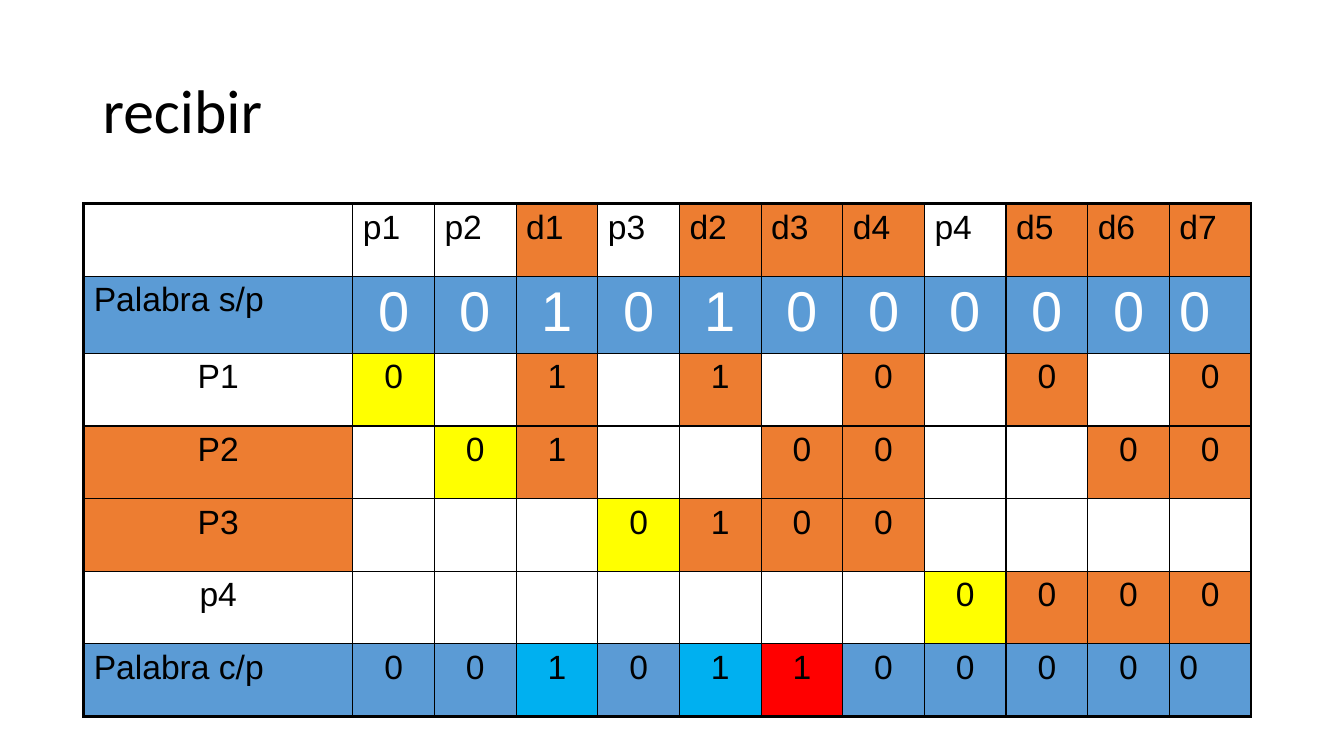
from pptx import Presentation
from pptx.dml.color import RGBColor as Rgb
from pptx.enum.text import MSO_ANCHOR as Anchor, PP_ALIGN as Align
from pptx.oxml.ns import qn
from pptx.util import Inches, Pt
from lxml.etree import SubElement as Sub

COLORS = {
    "black": "000000", "white": "FFFFFF", "orange": "ED7D31", "blue": "5B9BD5",
    "yellow": "FFFF00", "cyan": "00B0F0", "red": "FF0000",
}
# Fill codes: "-" leaves a cell without fill
CODES = {"W": "white", "O": "orange", "B": "blue", "Y": "yellow",
         "C": "cyan", "R": "red"}

# Row label, one value per bit ("." is empty), one fill code per column
HEADS = "p1 p2 d1 p3 d2 d3 d4 p4 d5 d6 d7".split()
ROWS = [
    ("", HEADS, "-WWOWOOOWOOO"),
    ("Palabra s/p", "00101000000", "BBBBBBBBBBBB"),
    ("P1", "0.1.1.0.0.0", "WYWOWOWOWOWO"),
    ("P2", ".01..00..00", "O-YO--OO--OO"),
    ("P3", "...0100....", "O---YOOO----"),
    ("p4", ".......0000", "--------YOOO"),
    ("Palabra c/p", "00101100000", "BBBCBCRBBBBB"),
]
HEAD, SENT, LAST = 0, 1, len(ROWS) - 1
END = len(HEADS)


def add_run(par, text, size, font, color="black"):
    """Add one styled run to a paragraph."""
    run = par.add_run()
    run.text = text
    run.font.size = Pt(size)
    run.font.name = font
    run.font.color.rgb = Rgb.from_string(COLORS[color])


def add_title(slide, text):
    """Add the slide heading, centred vertically in its box."""
    box = slide.shapes.add_textbox(
        Inches(0.92), Inches(0.4), Inches(11.5), Inches(1.45))
    frame = box.text_frame
    frame.word_wrap = True
    frame.vertical_anchor = Anchor.MIDDLE
    par = frame.paragraphs[0]
    par.line_spacing = 0.9
    add_run(par, text, 44, "Calibri")


def add_edges(cell, row, col):
    """Draw thin inner borders and thick ones on the table's rim."""
    props = cell._tc.get_or_add_tcPr()
    rims = {"L": col == 0, "R": col == END, "T": row == HEAD, "B": row == LAST}
    for side, rim in rims.items():
        line = Sub(props, qn(f"a:ln{side}"), w=str(Pt(2.25 if rim else 1)))
        fill = Sub(line, qn("a:solidFill"))
        Sub(fill, qn("a:srgbClr"), val=COLORS["black"])


def paint(cell, code):
    """Fill a cell by its code."""
    if code == "-":
        cell.fill.background()
    else:
        cell.fill.solid()
        cell.fill.fore_color.rgb = Rgb.from_string(COLORS[CODES[code]])


def write(cell, text, row, col):
    """Write a cell's text, with the word rows flush left at both ends."""
    par = cell.text_frame.paragraphs[0]
    flush = row == HEAD or (row in (SENT, LAST) and col in (0, END))
    par.alignment = Align.LEFT if flush else Align.CENTER
    space = Sub(par._p.get_or_add_pPr(), qn("a:spcBef"))
    Sub(space, qn("a:spcPct"), val="20000")
    big = row == SENT and col > 0
    add_run(par, text, 40 if big else 24, "Arial", "white" if big else "black")


def add_grid(slide):
    """Add the parity table."""
    high = Inches(0.72)
    table = slide.shapes.add_table(
        len(ROWS), END + 1, Inches(0.83), Inches(2.02),
        Inches(11.58), high * len(ROWS)).table
    table.first_row = table.horz_banding = False
    for col, part in enumerate(table.columns):
        part.width = Inches(0.81 if col else 2.67)
    for row, (label, bits, codes) in enumerate(ROWS):
        table.rows[row].height = high
        for col, (text, code) in enumerate(zip([label, *bits], codes)):
            cell = table.cell(row, col)
            add_edges(cell, row, col)
            paint(cell, code)
            if text not in ("", "."):
                write(cell, text, row, col)


def main():
    """Build and save the slide."""
    deck = Presentation()
    deck.slide_width, deck.slide_height = Inches(13.33), Inches(7.5)
    slide = deck.slides.add_slide(deck.slide_layouts[6])
    add_title(slide, "recibir")
    add_grid(slide)
    deck.save("out.pptx")


main()
